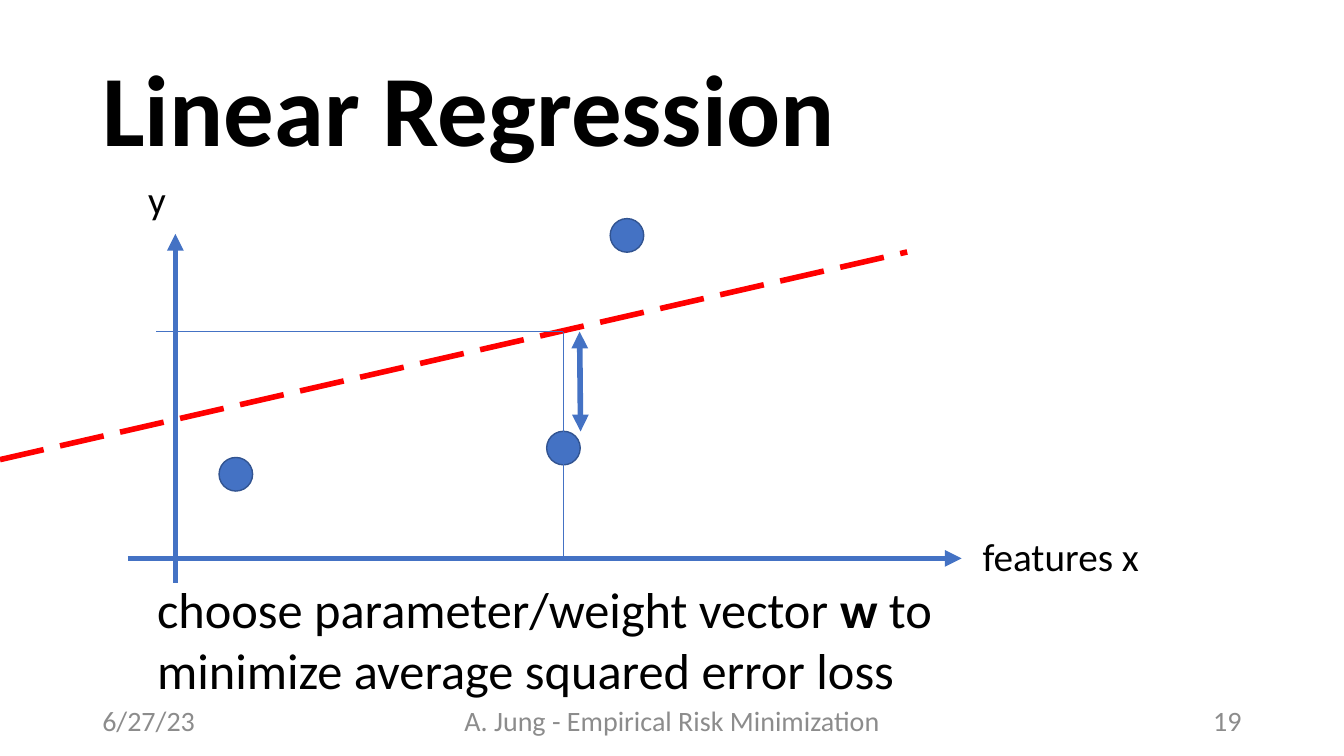
from dataclasses import dataclass

from lxml.etree import SubElement
from pptx import Presentation
from pptx.dml.color import RGBColor
from pptx.enum.dml import MSO_LINE_DASH_STYLE as Dash
from pptx.enum.shapes import MSO_CONNECTOR as Connector, MSO_SHAPE as Preset
from pptx.enum.text import MSO_ANCHOR as Anchor, MSO_AUTO_SIZE as AutoSize, PP_ALIGN as Align
from pptx.oxml.ns import qn
from pptx.util import Inches, Pt

COLUMNS, ROWS = 160, 90
WIDTH, HEIGHT = Inches(13.33), Inches(7.5)
FONT = "Calibri"
BLACK, GRAY, BLUE, NAVY, RED = "000000", "8C8C8C", "4472C4", "325491", "FF0000"
DOT_SIZE = 4
AXIS_X, AXIS_Y = 20.88, 66.48
SAMPLE_X, PREDICTED_Y = 67.08, 39.48
FOOTER_ROW, FOOTER_ROWS = 83.4, 4.8


@dataclass
class Label:
    lines: tuple[str, ...]
    column: float
    row: float
    columns: float
    rows: float
    size: float
    color: str = BLACK
    align: Align = Align.LEFT
    anchor: Anchor = Anchor.TOP
    wrap: bool = False
    spacing: float = 1.0


@dataclass
class Stroke:
    start: tuple[float, float]
    end: tuple[float, float]
    color: str = BLUE
    weight: float = 4
    arrows: tuple[str, ...] = ()
    dashed: bool = False


def across(columns: float) -> int:
    return round(WIDTH * columns / COLUMNS)


def down(rows: float) -> int:
    return round(HEIGHT * rows / ROWS)


def paint(target, color: str) -> None:
    target.rgb = RGBColor.from_string(color)


def draw_label(page, label: Label) -> None:
    box = page.shapes.add_textbox(across(label.column), down(label.row),
                                  across(label.columns), down(label.rows))
    frame = box.text_frame
    frame.word_wrap = label.wrap
    frame.auto_size = AutoSize.NONE if label.wrap else AutoSize.SHAPE_TO_FIT_TEXT
    frame.vertical_anchor = label.anchor
    frame.text = "\n".join(line.replace("*", "") for line in label.lines)
    for para, line in zip(frame.paragraphs, label.lines):
        para.alignment = label.align
        para.line_spacing = label.spacing
        para.clear()
        for index, part in enumerate(line.split("*")):
            if part:
                span = para.add_run()
                span.text = part
                span.font.name = FONT
                span.font.size = Pt(label.size)
                span.font.bold = index % 2 == 1
                paint(span.font.color, label.color)


def draw_stroke(page, stroke: Stroke) -> None:
    (x1, y1), (x2, y2) = stroke.start, stroke.end
    connector = page.shapes.add_connector(Connector.STRAIGHT, across(x1), down(y1),
                                          across(x2), down(y2))
    line = connector.line
    paint(line.fill.fore_color if line.fill.solid() else line.color, stroke.color)
    line.width = Pt(stroke.weight)
    if stroke.dashed:
        line.dash_style = Dash.LONG_DASH
    properties = connector.element.spPr
    for arrow in stroke.arrows:
        SubElement(properties.find(qn("a:ln")), qn(f"a:{arrow}"), type="triangle")
    SubElement(properties, qn("a:effectLst"))


def draw_dot(page, column: float, row: float) -> None:
    dot = page.shapes.add_shape(Preset.OVAL, across(column - DOT_SIZE / 2),
                                down(row - DOT_SIZE / 2), across(DOT_SIZE), down(DOT_SIZE))
    dot.shadow.inherit = False
    dot.fill.solid()
    paint(dot.fill.fore_color, BLUE)
    paint(dot.line.color, NAVY)
    dot.line.width = Pt(1)


def footer(text: str, column: float, columns: float, align: Align) -> Label:
    return Label((text,), column, FOOTER_ROW, columns, FOOTER_ROWS, 20, GRAY,
                 align, Anchor.MIDDLE, True)


AXES = (
    Stroke((15.24, AXIS_Y), (114.48, AXIS_Y), arrows=("tailEnd",)),
    Stroke((AXIS_X, 69.36), (AXIS_X, 27.84), arrows=("tailEnd",)),
)
DOTS = ((SAMPLE_X, 53.34), (74.64, 28.02), (28.08, 56.46))
MODEL = (
    Stroke((0, 54.72), (108, 30), RED, dashed=True),
    Stroke((SAMPLE_X, PREDICTED_Y), (SAMPLE_X, AXIS_Y), weight=0.5),
    Stroke((SAMPLE_X, PREDICTED_Y), (18.6, PREDICTED_Y), weight=0.5),
    Stroke((69, PREDICTED_Y), (69.12, 51.36), arrows=("headEnd", "tailEnd")),
)
LABELS = (
    Label(("*Linear Regression*",), 11, 4.8, 138, 17.4, 72,
          anchor=Anchor.MIDDLE, wrap=True, spacing=0.9),
    Label(("features x",), 115.8, 62.76, 21.24, 6.84, 28),
    Label(("y",), 16.44, 20.28, 4.56, 6.84, 28),
    Label(("choose parameter/weight vector *w* to", "minimize average squared error loss"),
          17.52, 68.28, 96.84, 15.72, 36),
    footer("A. Jung - Empirical Risk Minimization", 53, 54, Align.CENTER),
    footer("19", 113, 36, Align.RIGHT),
    footer("6/27/23", 11, 36, Align.LEFT),
)


def main() -> None:
    deck = Presentation()
    deck.slide_width, deck.slide_height = WIDTH, HEIGHT
    page = deck.slides.add_slide(deck.slide_layouts[6])
    for stroke in AXES:
        draw_stroke(page, stroke)
    for column, row in DOTS:
        draw_dot(page, column, row)
    for stroke in MODEL:
        draw_stroke(page, stroke)
    for label in LABELS:
        draw_label(page, label)
    deck.save("out.pptx")


if __name__ == "__main__":
    main()
